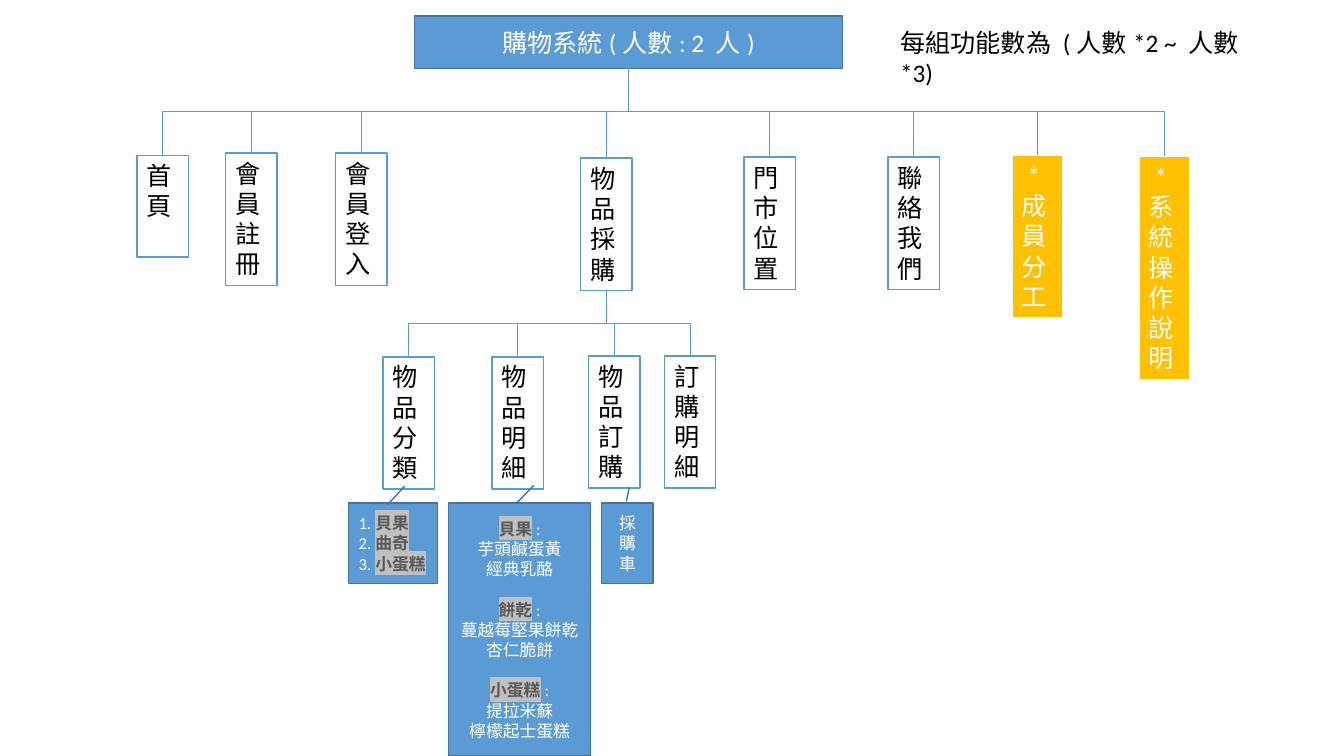
"""Builds a one-slide function chart of a shopping system."""
from lxml.etree import SubElement
from pptx import Presentation
from pptx.dml.color import RGBColor
from pptx.enum.shapes import MSO_CONNECTOR as CONN, MSO_SHAPE as SHAPE
from pptx.enum.text import MSO_ANCHOR as ANCHOR, PP_ALIGN as ALIGN
from pptx.oxml.ns import qn
from pptx.util import Pt

BLUE, NAVY, GOLD = "5B9BD5", "43739E", "FFC000"
WHITE, BLACK, GREY, SILVER = "FFFFFF", "000000", "595959", "C0C0C0"

TITLE = "購物系統(人數: 2 人)"
TITLE_BOX = (295.9, 11.5, 306, 37.4)
NOTE = "每組功能數為 (人數*2 ~ 人數*3)"
NOTE_BOX = (635.8, 15.8, 265.7, 28.8)

# paragraphs, left, top, lines, highlighted
FUNCTIONS = [
    (["首頁"], 97.9, 110.9, 3, False),
    (["會員註冊"], 161.3, 109.4, 4, False),
    (["會員登入"], 239.8, 109.4, 4, False),
    (["物品", "採購"], 414.7, 113, 4, False),
    (["門市位置"], 531.4, 112.3, 4, False),
    (["聯絡我們"], 634.3, 112.3, 4, False),
    ([" *成員分工"], 722.9, 110.9, 5, True),
    ([" *", "系統操作說明"], 813.6, 111.6, 7, True),
]
PURCHASE_STEPS = [
    (["物品分類"], 273.6, 254.9, 4, False),
    (["物品 明細"], 351.4, 254.9, 4, False),
    (["物品", "訂購"], 420.5, 254.2, 4, False),
    (["訂購明細"], 474.5, 254.2, 4, False),
]
CATEGORIES = ["貝果", "曲奇", "小蛋糕"]
PRODUCTS = [
    ("貝果", ["芋頭鹹蛋黃", "經典乳酪"]),
    ("餅乾", ["蔓越莓堅果餅乾", "杏仁脆餅"]),
    ("小蛋糕", ["提拉米蘇", "檸檬起士蛋糕"]),
]
NODE_W, LINE_H, PAD = 36.7, 21.8, 7.2
CALLOUT_TOP, GROUP_GAP = 359.3, 14.5
TOP_BUS, STEP_BUS = 79.5, 231


def rgb(color):
    return RGBColor.from_string(color)


def add_run(p, text, size, color, mark=False):
    r = p.add_run()
    r.text = text
    for name, value in {"size": Pt(size), "name": "Calibri", "bold": mark}.items():
        setattr(r.font, name, value)
    r.font.color.rgb = rgb(GREY if mark else color)
    if mark:
        fill = r.font._element.find(qn("a:solidFill"))
        hl = SubElement(r.font._element, qn("a:highlight"))
        SubElement(hl, qn("a:srgbClr"), val=SILVER)
        fill.addnext(hl)


def write(sp, paragraphs, size, color, align=ALIGN.LEFT, anchor=ANCHOR.TOP):
    tf = sp.text_frame
    tf.word_wrap, tf.vertical_anchor = True, anchor
    for i, (runs, gap) in enumerate(paragraphs):
        p = tf.paragraphs[0] if i == 0 else tf.add_paragraph()
        p.alignment, p.space_before = align, Pt(gap)
        for text, mark in runs:
            add_run(p, text, size, color, mark)


def plain(*lines):
    return [([(line, False)], 0) for line in lines]


def add_box(box, fill, line, width=1, kind=SHAPE.RECTANGLE, adj=()):
    sp = s.shapes.add_shape(kind, *map(Pt, box))
    sp.shadow.inherit = False
    sp.fill.solid()
    sp.fill.fore_color.rgb = rgb(fill)
    sp.line.color.rgb = rgb(line)
    sp.line.width = Pt(width)
    for i, value in enumerate(adj):
        sp.adjustments[i] = value
    return sp


def add_node(paragraphs, left, top, lines, highlighted):
    fill, line, width, color = (GOLD, WHITE, 1.5, WHITE) if highlighted else (WHITE, BLUE, 1, BLACK)
    sp = add_box((left, top, NODE_W, PAD + LINE_H * lines), fill, line, width)
    write(sp, plain(*paragraphs), 18, color)
    return sp


def add_branch(parent, child, bus):
    x1, y1 = parent.left + parent.width // 2, parent.top + parent.height
    x2, y2 = child.left + child.width // 2, child.top
    w, h = abs(x2 - x1), y2 - y1
    c = s.shapes.add_connector(CONN.ELBOW, 0, 0, h, w)
    c.left, c.top = (x1 + x2 - h) // 2, (y1 + y2 - w) // 2
    c.line.color.rgb = rgb(BLUE)
    c.line.width = Pt(0.5)
    pr = c._element.spPr
    xfrm = pr.find(qn("a:xfrm"))
    xfrm.set("rot", "16200000" if x2 > x1 else "5400000")
    if x2 > x1:
        xfrm.set("flipH", "1")
    ratio = round((Pt(bus) - y1) / h * 100000)
    SubElement(pr.find(qn("a:prstGeom")).find(qn("a:avLst")), qn("a:gd"), name="adj1", fmla=f"val {ratio}")
    SubElement(pr, qn("a:effectLst"))


def add_callout(left, width, height, adj, paragraphs, align=ALIGN.CENTER):
    sp = add_box((left, CALLOUT_TOP, width, height), BLUE, NAVY, 1, SHAPE.LINE_CALLOUT_1, adj)
    write(sp, paragraphs, 12, WHITE, align, ANCHOR.MIDDLE)


prs = Presentation()
prs.slide_width, prs.slide_height = Pt(960), Pt(540)
s = prs.slides.add_slide(prs.slide_layouts[6])

title = add_box(TITLE_BOX, BLUE, NAVY)
write(title, plain(TITLE), 18, WHITE, ALIGN.CENTER, ANCHOR.MIDDLE)
write(s.shapes.add_textbox(*map(Pt, NOTE_BOX)), plain(NOTE), 18, BLACK)

functions = [add_node(*row) for row in FUNCTIONS]
steps = [add_node(*row) for row in PURCHASE_STEPS]
purchase = functions[3]
for parent, children, bus in [(title, functions, TOP_BUS), (purchase, steps, STEP_BUS)]:
    for child in children:
        add_branch(parent, child, bus)

numbered = [([(f"{i}.", False), (name, True)], 0) for i, name in enumerate(CATEGORIES, 1)]
grouped = []
for group, items in PRODUCTS:
    grouped.append(([(group, True), (":", False)], GROUP_GAP if grouped else 0))
    grouped += plain(*items)

add_callout(249.1, 63.4, 57.6, (0.02, 0.44, -0.21, 0.63), numbered, ALIGN.LEFT)
add_callout(320.4, 101.5, 180.7, (0, 0.48, -0.07, 0.6), grouped)
add_callout(429.8, NODE_W, 57.6, (-0.02, 0.48, -0.2, 0.54), plain("採購車"))

prs.save("out.pptx")
